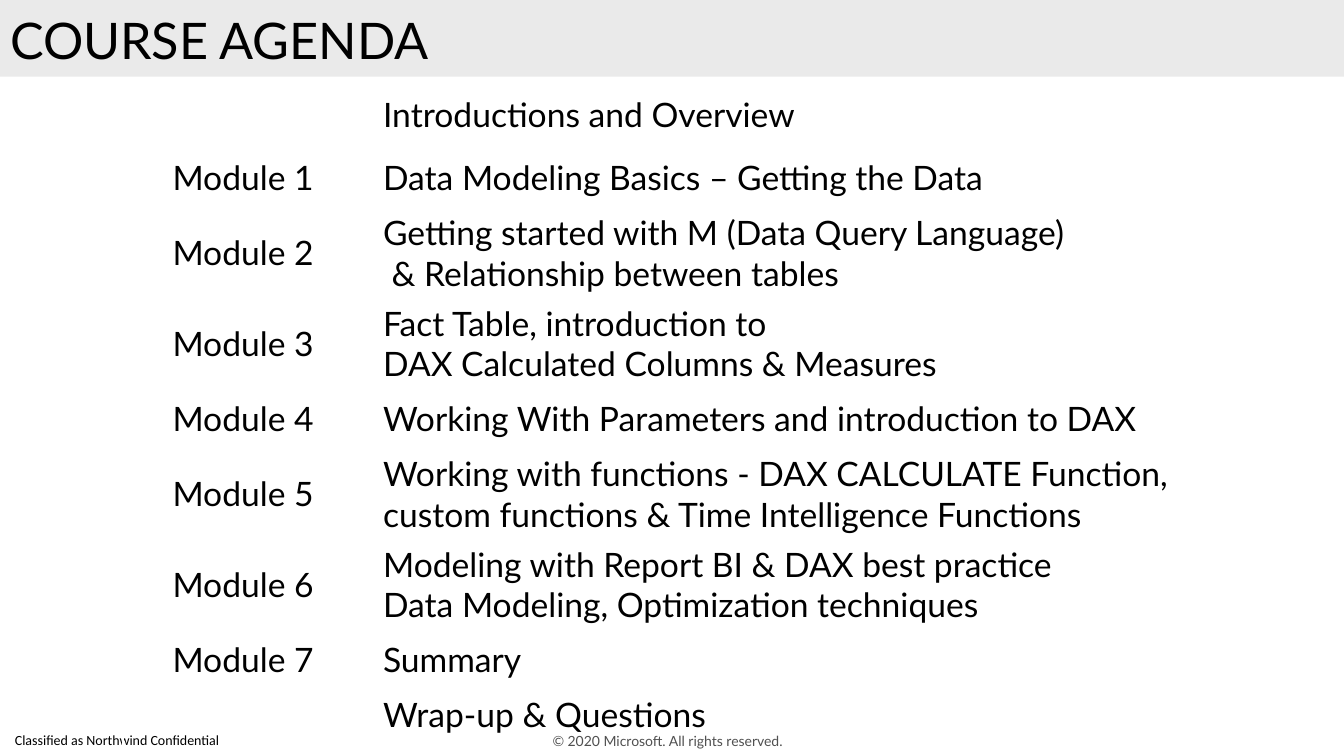
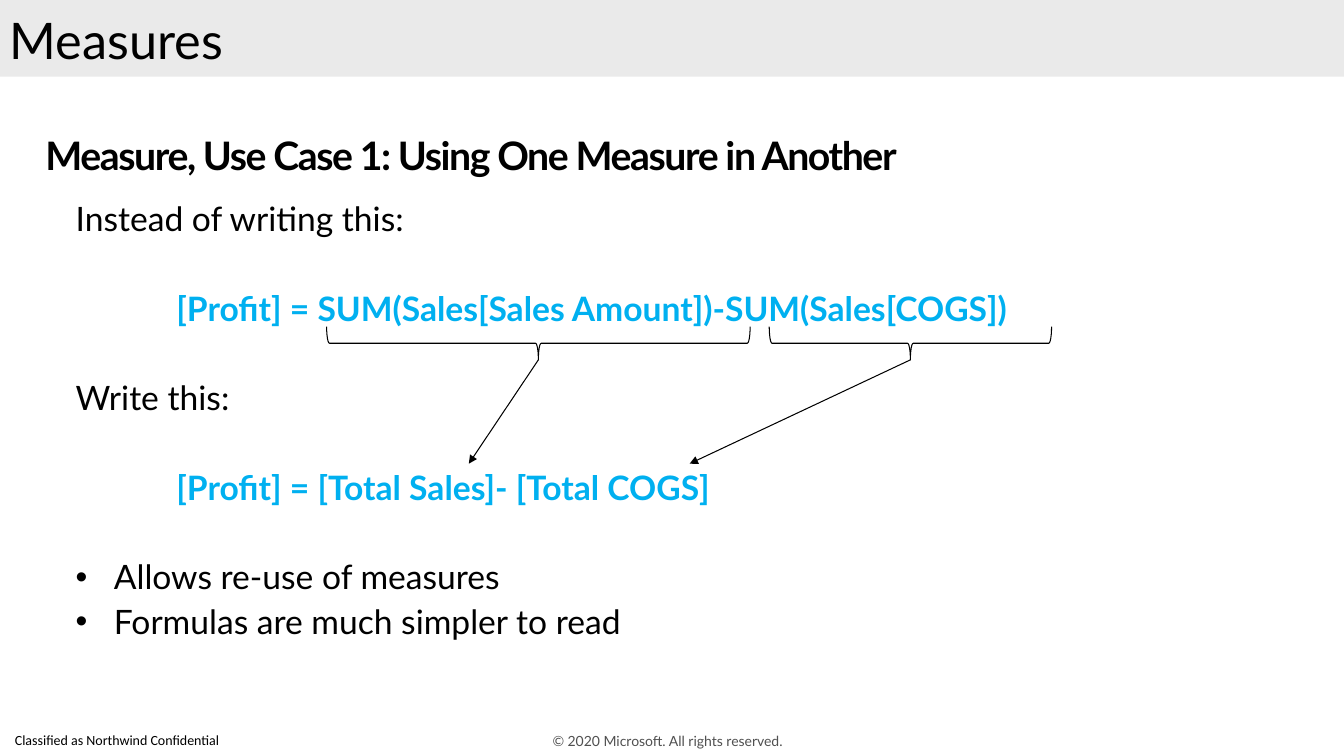
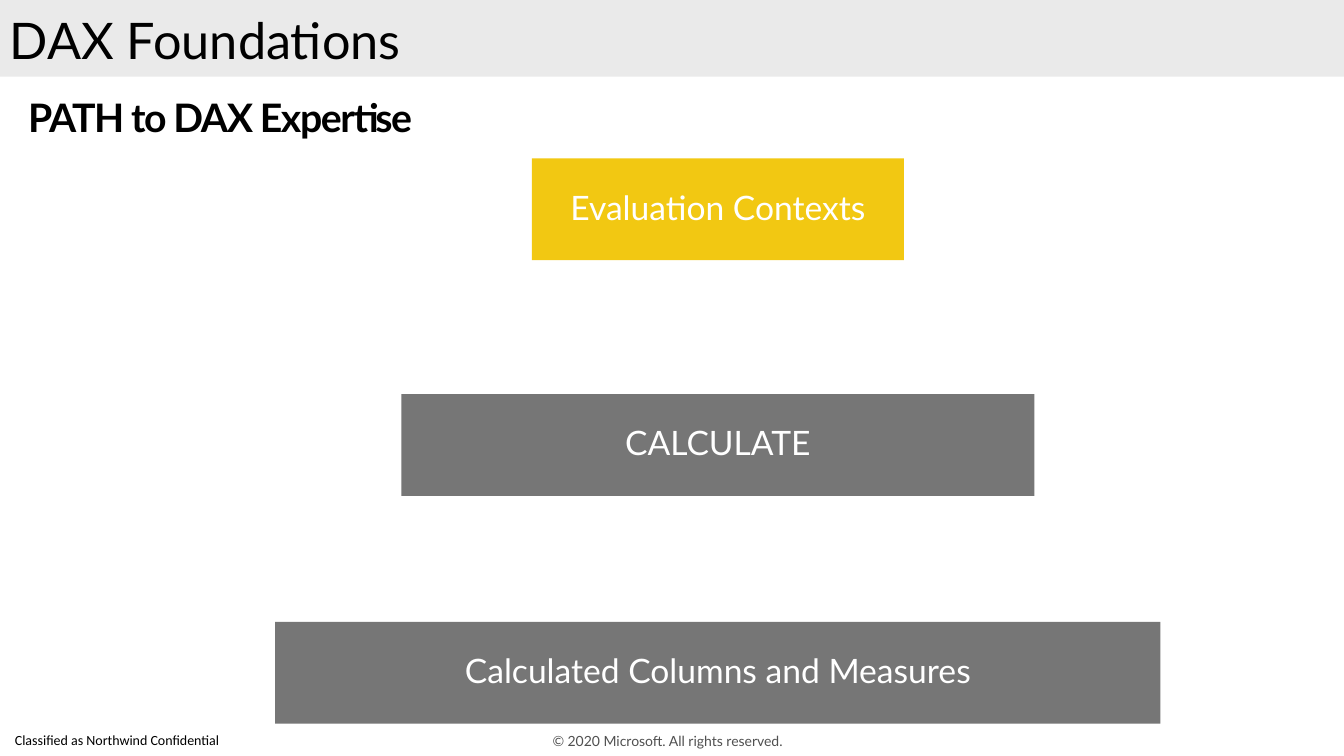
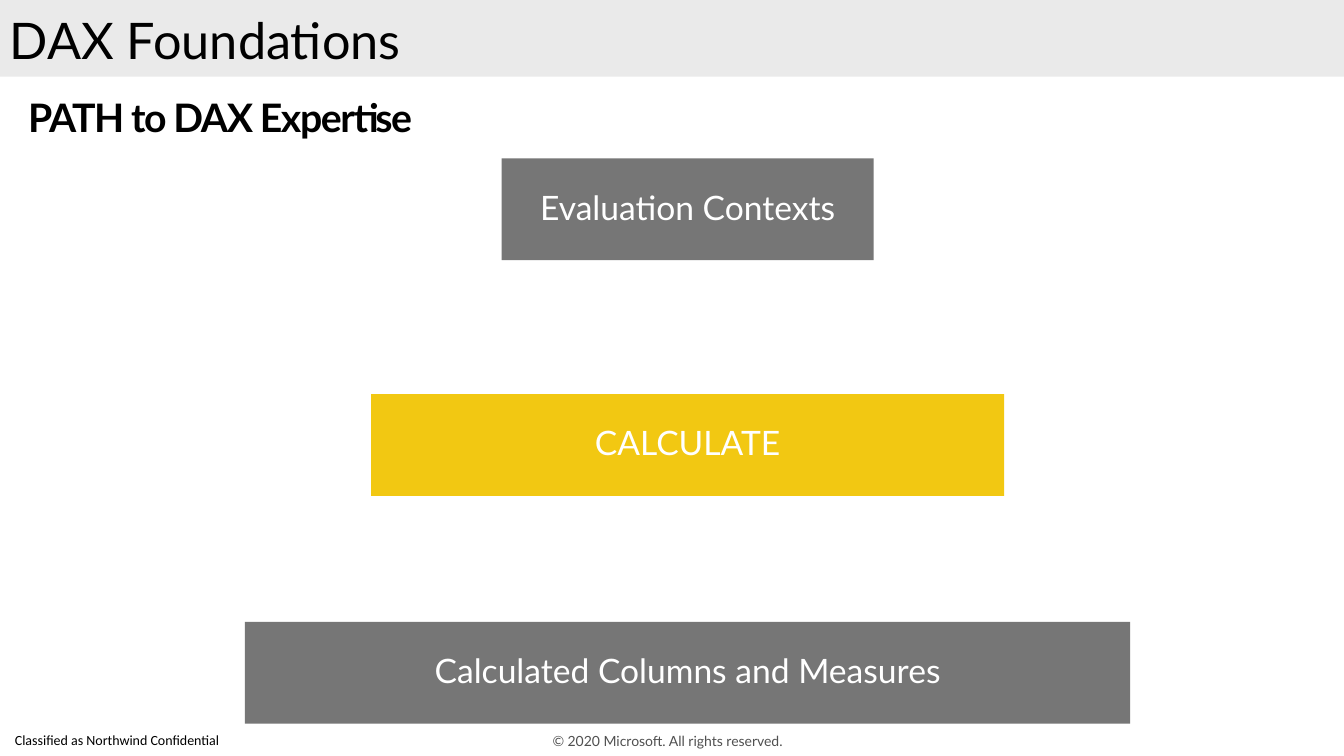
from pptx import Presentation
from pptx.dml.color import RGBColor
from pptx.enum.shapes import MSO_CONNECTOR, MSO_SHAPE
from pptx.enum.text import MSO_ANCHOR, MSO_AUTO_SIZE, PP_ALIGN
from pptx.oxml.ns import qn
from pptx.util import Inches, Pt
from lxml import etree

STRAIGHT = MSO_CONNECTOR.STRAIGHT
RECTANGLE, LEFT_BRACE = MSO_SHAPE.RECTANGLE, MSO_SHAPE.LEFT_BRACE
TOP, MIDDLE = MSO_ANCHOR.TOP, MSO_ANCHOR.MIDDLE
LEFT, CENTER, RIGHT = PP_ALIGN.LEFT, PP_ALIGN.CENTER, PP_ALIGN.RIGHT

PAGE_WIDTH, PAGE_HEIGHT = 13.33, 7.5
BLACK, WHITE, BAND = "000000", "FFFFFF", "EAEAEA"
GRAY, YELLOW, BLUE, FOOTER = "767676", "F2C812", "00B0F0", "505050"
CONTENT_LAYOUT, TITLE_LAYOUT = 1, 5


def color(value):
    return RGBColor.from_string(value)


class Deck:
    """Holds the shared style and the page being built."""

    def __init__(self):
        self.deck = Presentation()
        self.deck.slide_width = Inches(PAGE_WIDTH)
        self.deck.slide_height = Inches(PAGE_HEIGHT)
        self.page = None

    def new_page(self, layout=TITLE_LAYOUT):
        """Start a page with the band behind everything and both footers."""
        self.page = self.deck.slides.add_slide(self.deck.slide_layouts[layout])
        band = self.block(0, 0, PAGE_WIDTH, 0.76, BAND)
        self.page.shapes._spTree.insert(2, band._element)
        label = self.text_box(0, 7.21, 2.32, 0.29, "Classified as Northwind Confidential",
                              (0, 0, 0, 0), MIDDLE)
        self.style(label.paragraphs[0], 10, font="Calibri", align=CENTER, spacing=0.9)
        notice = self.text_box(4.42, 7.23, 4.5, 0.25, "© 2020 Microsoft. All rights reserved.",
                               (0, 0, 0.1, 0), MIDDLE)
        self.style(notice.paragraphs[0], 10, FOOTER, align=CENTER)

    def style(self, para, size, fill=BLACK, bold=False, font="Lato", align=LEFT, spacing=None):
        para.alignment = align
        para.space_before = Pt(0)
        if spacing:
            para.line_spacing = spacing
        para.font.name = font
        para.font.size = Pt(size)
        para.font.bold = bold
        para.font.color.rgb = color(fill)

    def frame(self, shape, text, insets=(0.1, 0.05, 0.1, 0.05), anchor=TOP):
        frame = shape.text_frame
        frame.text = text
        frame.word_wrap = True
        frame.auto_size = MSO_AUTO_SIZE.NONE
        frame.vertical_anchor = anchor
        (frame.margin_left, frame.margin_top,
         frame.margin_right, frame.margin_bottom) = map(Inches, insets)
        return frame

    def place(self, shape, left, top, width, height):
        shape.left, shape.top = Inches(left), Inches(top)
        shape.width, shape.height = Inches(width), Inches(height)
        return shape

    def text_box(self, left, top, width, height, text, *layout):
        box = self.page.shapes.add_textbox(
            Inches(left), Inches(top), Inches(width), Inches(height))
        return self.frame(box, text, *layout)

    def block(self, left, top, width, height, fill):
        shape = self.page.shapes.add_shape(
            RECTANGLE, Inches(left), Inches(top), Inches(width), Inches(height))
        shape.shadow.inherit = False
        shape.fill.solid()
        shape.fill.fore_color.rgb = color(fill)
        shape.line.fill.background()
        return shape

    def band_title(self, text, is_title=False):
        place = (0, 0.04, 12.53, 0.72)
        if is_title:
            frame = self.frame(self.place(self.page.shapes.title, *place), text)
        else:
            frame = self.text_box(*place, text)
        self.style(frame.paragraphs[0], 36)

    def heading(self, left, top, text):
        title = self.place(self.page.shapes.title, left, top, 12.75, 0.57)
        para = self.frame(title, text, (0.16, 0.1, 0.16, 0.1)).paragraphs[0]
        self.style(para, 28, bold=True, spacing=0.9)
        para.font._element.set("spc", "-100")

    def body(self, left, top, width, height, lines):
        """Fill the body placeholder with (text, kind) lines."""
        body = self.place(self.page.placeholders[1], left, top, width, height)
        frame = self.frame(body, "\n".join(text for text, kind in lines))
        for para, (text, kind) in zip(frame.paragraphs, lines):
            bulleted, formula = kind == "bullet", kind == "formula"
            margin = 0.38 if bulleted else 1 if formula else 0
            para.space_after = Pt(6 if bulleted else 38)
            props = para._p.get_or_add_pPr()
            props.set("marL", str(Inches(margin)))
            props.set("indent", str(Inches(-margin if bulleted else 0)))
            if bulleted:
                etree.SubElement(props, qn("a:buFont")).set("typeface", "Arial")
                etree.SubElement(props, qn("a:buChar")).set("char", "•")
            else:
                etree.SubElement(props, qn("a:buNone"))
            self.style(para, 24, BLUE if formula else BLACK, formula, spacing=0.9)

    def agenda(self, left, top, widths, rows):
        """Add a plain table from (height, label, topic) rows."""
        grid = self.page.shapes.add_table(
            len(rows), len(widths), Inches(left), Inches(top),
            Inches(sum(widths)), Inches(sum(row[0] for row in rows))).table
        grid.first_row = grid.horz_banding = False
        for column, width in zip(grid.columns, widths):
            column.width = Inches(width)
        for row, (height, label, topic) in zip(grid.rows, rows):
            row.height = Inches(height)
            for cell, text, align in zip(row.cells, (label, "", topic), (RIGHT, LEFT, LEFT)):
                cell.fill.background()
                cell.vertical_anchor = MIDDLE
                cell.text = text
                for para in cell.text_frame.paragraphs:
                    self.style(para, 24, align=align)
        return grid

    def brace(self, left, top, width, depth):
        """Add a brace that points down; a left brace is turned a quarter."""
        shape = self.page.shapes.add_shape(
            LEFT_BRACE, Inches(left + (width - depth) / 2), Inches(top + (depth - width) / 2),
            Inches(depth), Inches(width))
        shape.rotation = 270
        shape.shadow.inherit = False
        shape.fill.background()
        shape.line.color.rgb = color(BLACK)
        shape.line.width = Pt(0.75)

    def arrow(self, start, end):
        line = self.page.shapes.add_connector(STRAIGHT, *map(Inches, start + end))
        line.line.color.rgb = color(BLACK)
        line.line.width = Pt(0.75)
        etree.SubElement(line.line._get_or_add_ln(), qn("a:tailEnd")).set("type", "triangle")
        etree.SubElement(line._element.spPr, qn("a:effectLst"))

    def pyramid(self, center, steps, current):
        for text, top, width in steps:
            fill = YELLOW if text == current else GRAY
            step = self.block(center - width / 2, top, width, 1.01, fill)
            frame = self.frame(step, text, (0.2, 0.16, 0.2, 0.16), MIDDLE)
            self.style(frame.paragraphs[0], 24, WHITE, align=CENTER, spacing=0.9)


# Row heights and topics of the agenda
ONE_LINE, TWO_LINES = 0.59, 0.86
AGENDA = [
    (0.67, "", "Introductions and Overview"),
    (ONE_LINE, "Module 1", "Data Modeling Basics – Getting the Data"),
    (TWO_LINES, "Module 2",
     "Getting started with M (Data Query Language)\n & Relationship between tables"),
    (TWO_LINES, "Module 3", "Fact Table, introduction to\vDAX Calculated Columns & Measures"),
    (ONE_LINE, "Module 4", "Working With Parameters and introduction to DAX"),
    (TWO_LINES, "Module 5", "Working with functions - DAX CALCULATE Function, "
     "custom functions & Time Intelligence Functions"),
    (TWO_LINES, "Module 6",
     "Modeling with Report BI & DAX best practice\nData Modeling, Optimization techniques"),
    (ONE_LINE, "Module 7", "Summary"),
    (TWO_LINES, "", "Wrap-up & Questions"),
]
MEASURE_LINES = [
    ("Instead of writing this:", "text"),
    ("[Profit] = SUM(Sales[Sales Amount])-SUM(Sales[COGS])", "formula"),
    ("Write this:", "text"),
    ("[Profit] = [Total Sales]- [Total COGS]", "formula"),
    ("Allows re-use of measures", "bullet"),
    ("Formulas are much simpler to read", "bullet"),
]
# Text, top and width of each step
STEPS = [
    ("Calculated Columns and Measures", 6.17, 8.78),
    ("CALCULATE", 3.91, 6.28),
    ("Evaluation Contexts", 1.57, 3.69),
]


def main():
    slides = Deck()

    # Agenda
    slides.new_page()
    slides.band_title("COURSE AGENDA", is_title=True)
    grid = slides.agenda(1.22, 0.8, (1.99, 0.49, 8.78), AGENDA)
    grid.cell(len(AGENDA) - 1, 2).vertical_anchor = TOP

    # Measures: each brace sends an arrow to the measure that replaces it
    slides.new_page(CONTENT_LAYOUT)
    slides.band_title("Measures")
    slides.heading(0.29, 1.26, "Measure, Use Case 1: Using One Measure in Another")
    slides.body(0.65, 1.96, 12.39, 4.49, MEASURE_LINES)
    brace_top, brace_depth = 3.24, 0.33
    for left, width, target in ((3.24, 4.2, 4.65), (7.63, 2.8, 6.84)):
        slides.brace(left, brace_top, width, brace_depth)
        slides.arrow((left + width / 2, brace_top + brace_depth), (target, 4.6))

    # Foundations: one step highlighted on each page
    for center, current in ((7.12, "Evaluation Contexts"), (6.82, "CALCULATE")):
        slides.new_page()
        slides.band_title("DAX Foundations")
        slides.heading(0.12, 0.88, "PATH to DAX Expertise")
        slides.pyramid(center, STEPS, current)

    slides.deck.save("out.pptx")


if __name__ == "__main__":
    main()
